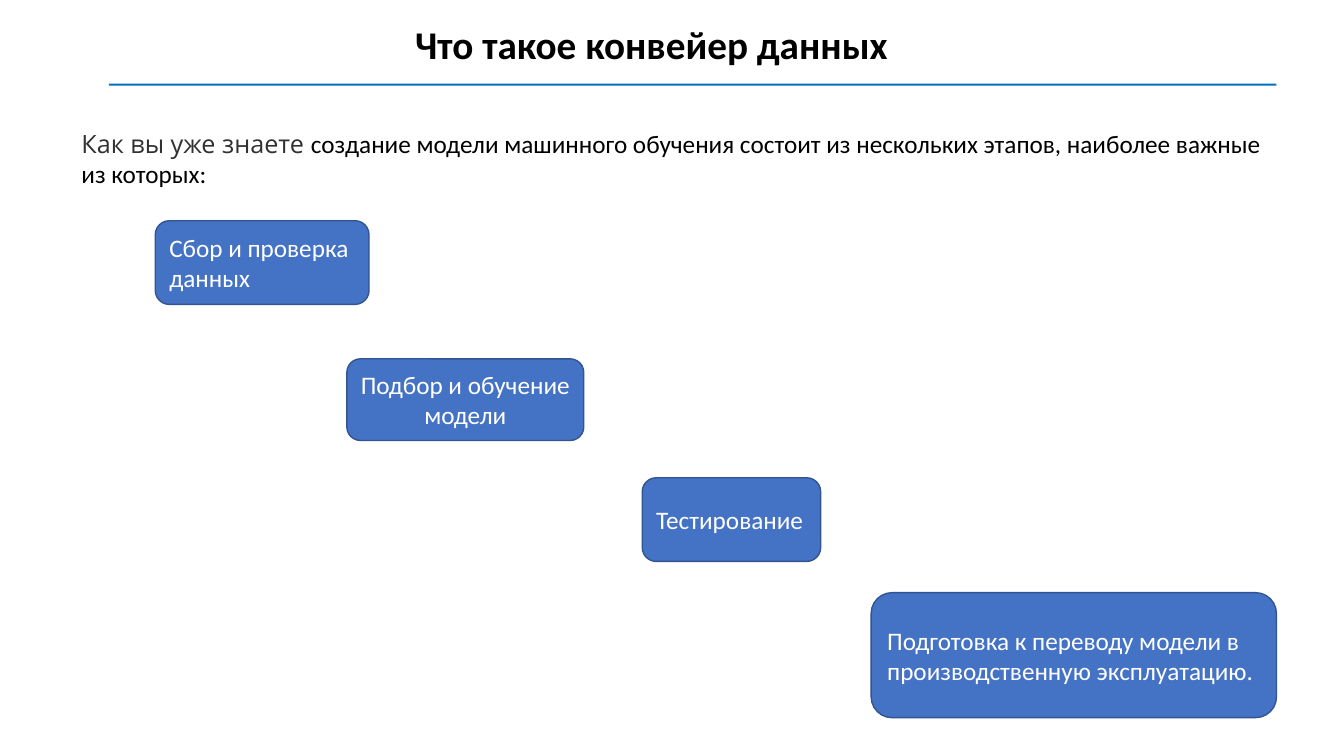
from dataclasses import dataclass

from pptx import Presentation
from pptx.dml.color import RGBColor
from pptx.enum.shapes import MSO_SHAPE
from pptx.enum.text import MSO_ANCHOR, MSO_AUTO_SIZE, PP_ALIGN
from pptx.util import Inches, Pt


@dataclass(frozen=True)
class Theme:
    rule: str = "0070C0"
    box_fill: str = "4472C4"
    box_line: str = "325491"
    box_text: str = "FFFFFF"
    text: str = "000000"
    lead: str = "313131"
    font: str = "Calibri"
    lead_font: str = "Open Sans"
    title_size: int = 28
    body_size: int = 18


theme = Theme()


def add_span(para, text, color, size=theme.body_size, font=theme.font, bold=False):
    span = para.add_run()
    span.text = text
    span.font.name = font
    span.font.size = Pt(size)
    span.font.bold = bold
    span.font.color.rgb = RGBColor.from_string(color)


def add_filled(kind, bounds, fill):
    shape = page.shapes.add_shape(kind, *map(Inches, bounds))
    shape.shadow.inherit = False
    shape.fill.solid()
    shape.fill.fore_color.rgb = RGBColor.from_string(fill)
    return shape


deck = Presentation()
deck.slide_width = Inches(13.33)
deck.slide_height = Inches(7.5)
page = deck.slides.add_slide(deck.slide_layouts[6])

# Heading
rule = add_filled(MSO_SHAPE.RECTANGLE, (1.08, 0.83, 11.58, 0.02), theme.rule)
rule.line.fill.background()

title = page.shapes.add_textbox(Inches(4.02), Inches(0.15), Inches(4.94), Inches(0.57))
title.text_frame.word_wrap = False
title.text_frame.auto_size = MSO_AUTO_SIZE.SHAPE_TO_FIT_TEXT
add_span(title.text_frame.paragraphs[0], "Что такое конвейер данных",
         theme.text, theme.title_size, bold=True)

# Introduction
intro = page.shapes.add_textbox(Inches(0.71), Inches(1.22), Inches(11.94), Inches(0.71))
intro.text_frame.word_wrap = True
intro.text_frame.auto_size = MSO_AUTO_SIZE.SHAPE_TO_FIT_TEXT
intro_para = intro.text_frame.paragraphs[0]
add_span(intro_para, "Как вы уже знаете ", theme.lead, font=theme.lead_font)
add_span(intro_para, "создание модели машинного обучения состоит из нескольких этапов, "
         "наиболее важные из которых:", theme.text)

# Stages of the pipeline
stages = [
    ("Сбор и проверка данных", (1.54, 2.19, 2.12, 0.83), PP_ALIGN.LEFT),
    ("Подбор и обучение модели", (3.44, 3.56, 2.35, 0.81), PP_ALIGN.CENTER),
    ("Тестирование", (6.37, 4.74, 1.77, 0.83), PP_ALIGN.LEFT),
    ("Подготовка к переводу модели в производственную эксплуатацию.",
     (8.64, 5.88, 4.02, 1.24), PP_ALIGN.LEFT),
]
for text, bounds, align in stages:
    box = add_filled(MSO_SHAPE.ROUNDED_RECTANGLE, bounds, theme.box_fill)
    box.line.color.rgb = RGBColor.from_string(theme.box_line)
    box.line.width = Pt(1)
    box.text_frame.word_wrap = True
    box.text_frame.vertical_anchor = MSO_ANCHOR.MIDDLE
    para = box.text_frame.paragraphs[0]
    para.alignment = align
    add_span(para, text, theme.box_text)

deck.save("out.pptx")
